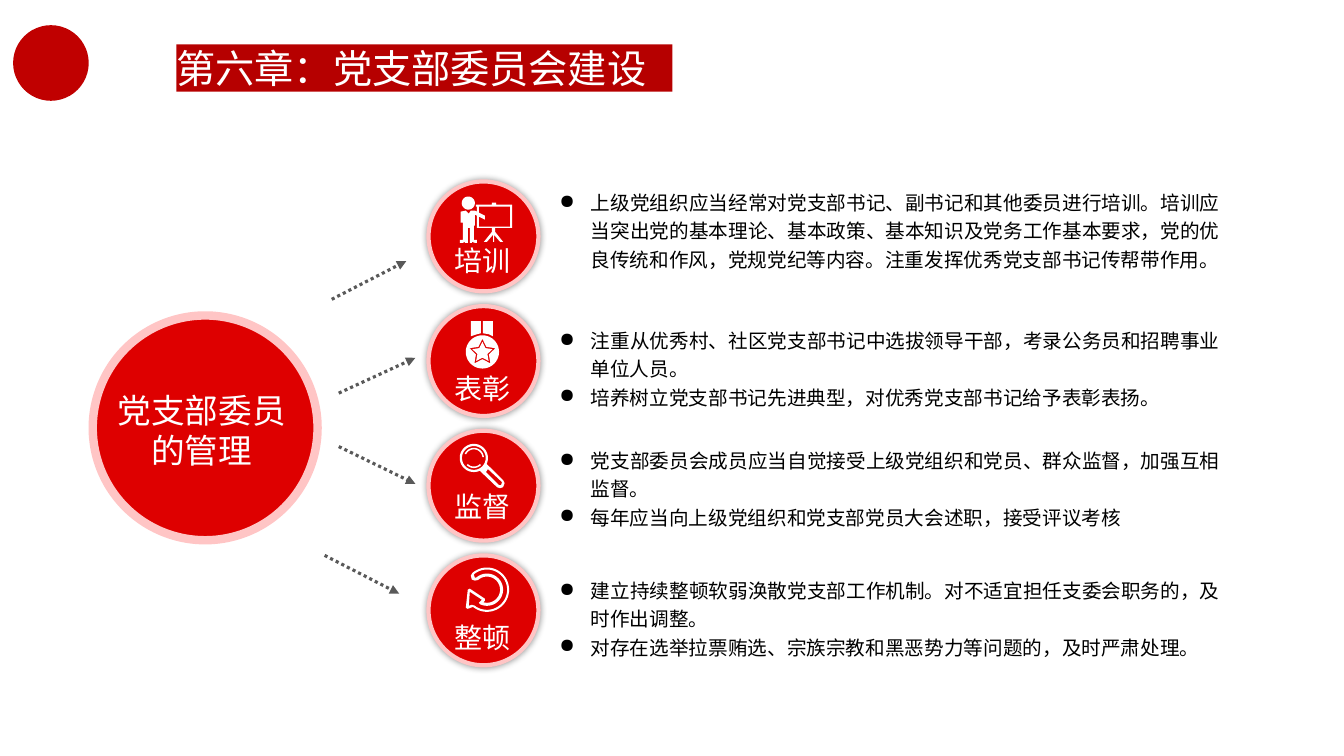
import math

import pptx
import pptx.dml.color
import pptx.enum.dml
import pptx.enum.shapes
import pptx.enum.text
import pptx.oxml
import pptx.oxml.ns
import pptx.util

SHAPE = pptx.enum.shapes.MSO_SHAPE
ALIGN = pptx.enum.text.PP_ALIGN
ANCHOR = pptx.enum.text.MSO_ANCHOR
FIT = pptx.enum.text.MSO_AUTO_SIZE
NOTO = "Noto Sans CJK SC"
RED, PINK, WHITE = "DE0000", "FFC5C5", "FFFFFF"


def arc(x, y, radius, start=0, end=360):
    """Points of an arc, angles in degrees running clockwise from the right."""
    turns = [math.radians(start + (end - start) * i / 40) for i in range(41)]
    return [(x + radius * math.cos(t), y + radius * math.sin(t)) for t in turns]


def star(x, y, radius):
    radii = [radius, radius / 2]
    turns = [math.radians(36 * i - 90) for i in range(10)]
    return [(x + radii[i % 2] * math.cos(t), y + radii[i % 2] * math.sin(t))
            for i, t in enumerate(turns)]


# Icon outlines, in hundredths of an inch from the corner of their circle
PRESENTER = [
    [(50, 25), (50, 31), (56, 34), (56, 38), (50, 35), (50, 45), (81, 45), (81, 25)],
    [(63, 21), (67, 21), (67, 23), (83, 23), (83, 46), (66, 46), (66, 50), (74, 60),
     (71, 60), (65, 53), (65, 60), (64, 60), (64, 53), (58, 60), (55, 60), (63, 50),
     (63, 46), (48, 46), (48, 34), (46, 33), (46, 44), (45, 44), (45, 58), (48, 58),
     (48, 61), (46, 61), (43, 60), (43, 61), (41, 61), (41, 46), (39, 46), (39, 61),
     (36, 61), (36, 60), (34, 61), (31, 61), (31, 58), (34, 58), (34, 41), (32, 41),
     (32, 30), (37, 29), (40, 32), (42, 29), (46, 29), (48, 30), (48, 25), (47, 25),
     (47, 23), (63, 23)],
    arc(39.5, 21.5, 6.5),
]
MEDAL = [
    arc(53.5, 45.5, 16.5),
    star(53.5, 46, 13.5),
    star(53.5, 46, 10.5),
    [(54, 15), (64, 15), (64, 30), (60, 28), (54, 27)],
    [(52, 15), (52, 27), (48, 28), (42, 30), (42, 15)],
]
MAGNIFIER = [
    arc(45, 27, 14, 65, 385) + [(74, 49), (75.5, 52), (74, 56), (71, 57), (68, 56)],
    arc(45, 27, 11.8),
    arc(45, 27, 10, 45, 135) + arc(45, 27, 8.5, 135, 45),
    arc(45, 27, 10, 205, 355) + arc(45, 27, 8.5, 355, 205),
    [(59, 38), (57, 41), (70, 54), (72, 54), (73, 51)],
]
LOOP_ARROW = [
    arc(58, 34, 22, -131, 129) + [(39, 53), (37, 52), (39, 34), (41, 33), (56, 43),
                                  (56, 45), (54, 47)]
    + arc(58, 34, 13, 107, -132) + [(46, 25), (43, 24), (42, 20)],
    arc(58, 34, 20, -131, 128) + [(43, 49), (40, 50), (41, 36), (53, 44), (50, 47)]
    + arc(58, 34, 16, 115, -132) + [(46, 22)],
]

TITLE = "第六章：党支部委员会建设"
HUB = ["党支部委员", "的管理"]
# label, its drop in the circle, icon, top of the points, points
TOPICS = [
    ("培训", 0.57, PRESENTER, 1.8, [
        "上级党组织应当经常对党支部书记、副书记和其他委员进行培训。培训应当突出党的基本理论、"
        "基本政策、基本知识及党务工作基本要求，党的优良传统和作风，党规党纪等内容。"
        "注重发挥优秀党支部书记传帮带作用。"]),
    ("表彰", 0.6, MEDAL, 3.17, [
        "注重从优秀村、社区党支部书记中选拔领导干部，考录公务员和招聘事业单位人员。",
        "培养树立党支部书记先进典型，对优秀党支部书记给予表彰表扬。"]),
    ("监督", 0.53, MAGNIFIER, 4.36, [
        "党支部委员会成员应当自觉接受上级党组织和党员、群众监督，加强互相监督。",
        "每年应当向上级党组织和党支部党员大会述职，接受评议考核"]),
    ("整顿", 0.6, LOOP_ARROW, 5.65, [
        "建立持续整顿软弱涣散党支部工作机制。对不适宜担任支委会职务的，及时作出调整。",
        "对存在选举拉票贿选、宗族宗教和黑恶势力等问题的，及时严肃处理。"]),
]
ARROWS = [(3.29, 2.97, 4.03, 2.59), (3.36, 3.9, 4.12, 3.55),
          (3.36, 4.43, 4.12, 4.8), (3.22, 5.51, 3.96, 5.89)]
CIRCLE_LEFT, CIRCLE_SIZE, FIRST_TOP, LAST_TOP = 4.25, 1.09, 1.8, 5.51

inch = pptx.util.Inches
deck = pptx.Presentation()
deck.slide_width, deck.slide_height = inch(13.33), inch(7.5)
shapes = deck.slides.add_slide(deck.slide_layouts[6]).shapes


def color(value):
    return pptx.dml.color.RGBColor.from_string(value)


def add_xml(parent, xml):
    head, rest = xml.split(" ", 1)
    element = pptx.oxml.parse_xml(f"{head} {pptx.oxml.ns.nsdecls('a')} {rest}")
    parent.append(element)


def paint(shape, fill, border=None, width=0):
    shape.shadow.inherit = False
    shape.fill.solid()
    shape.fill.fore_color.rgb = color(fill)
    if border:
        shape.line.color.rgb = color(border)
        shape.line.width = pptx.util.Pt(width)
    else:
        shape.line.fill.background()
    return shape


def add_painted(kind, box, *look):
    return paint(shapes.add_shape(kind, *map(inch, box)), *look)


def write(shape, lines, size, ink, font=NOTO, align=ALIGN.CENTER, bullet=None, **frame):
    for name, value in frame.items():
        setattr(shape.text_frame, name, value)
    for i, line in enumerate(lines):
        paragraph = (shape.text_frame.add_paragraph() if i
                     else shape.text_frame.paragraphs[0])
        paragraph.alignment = align
        run = paragraph.add_run()
        run.text = line
        for name, value in {"size": pptx.util.Pt(size), "name": font}.items():
            setattr(run.font, name, value)
        run.font.color.rgb = color(ink)
        add_xml(run.font._element, f'<a:ea typeface="{font}"/>')
        if bullet:
            paragraph.line_spacing = 1.2
            properties = paragraph._p.get_or_add_pPr()
            properties.set("marL", str(inch(0.31)))
            properties.set("indent", str(-inch(0.31)))
            add_xml(properties, f'<a:buChar char="{bullet}"/>')


def add_text(box, lines, size, ink, wrap=False, **style):
    write(shapes.add_textbox(*map(inch, box)), lines, size, ink,
          word_wrap=wrap, auto_size=FIT.SHAPE_TO_FIT_TEXT, **style)


def add_icon(outlines, left, top):
    builder = None
    for outline in outlines:
        points = [(inch(left + x / 100), inch(top + y / 100)) for x, y in outline]
        if builder is None:
            builder = shapes.build_freeform(*points[0], scale=1.0)
        else:
            builder.move_to(*points[0])
        builder.add_line_segments(points[1:], close=True)
    paint(builder.convert_to_shape(), WHITE)


def add_glow(shape):
    add_xml(shape._element.spPr.find(pptx.oxml.ns.qn("a:effectLst")),
            f'<a:outerShdw blurRad="{pptx.util.Pt(5)}" dist="0" dir="0">'
            '<a:srgbClr val="000000"><a:alpha val="40000"/></a:srgbClr></a:outerShdw>')


def add_arrow(ends):
    arrow = shapes.add_connector(pptx.enum.shapes.MSO_CONNECTOR.STRAIGHT, *map(inch, ends))
    arrow.line.color.rgb = color("595959")
    arrow.line.width = pptx.util.Pt(2.25)
    arrow.line.dash_style = pptx.enum.dml.MSO_LINE.ROUND_DOT
    add_xml(arrow.line._get_or_add_ln(), '<a:tailEnd type="triangle"/>')
    add_xml(arrow._element.spPr, "<a:effectLst />")


add_painted(SHAPE.OVAL, (0.13, 0.25, 0.75, 0.75), "C00000")
banner = add_painted(SHAPE.RECTANGLE, (1.75, 0.44, 4.92, 0.47), "B60000")
write(banner, [TITLE], 28, WHITE, align=ALIGN.LEFT, vertical_anchor=ANCHOR.MIDDLE,
      margin_left=0, margin_right=0, margin_top=0, margin_bottom=0)

pitch = (LAST_TOP - FIRST_TOP) / (len(TOPICS) - 1)
for row, (label, drop, icon, points_top, points) in enumerate(TOPICS):
    top = FIRST_TOP + row * pitch
    add_glow(add_painted(SHAPE.OVAL, (CIRCLE_LEFT, top, CIRCLE_SIZE, CIRCLE_SIZE),
                         RED, PINK, 3))
    add_icon(icon, CIRCLE_LEFT, top)
    add_text((CIRCLE_LEFT + 0.16, top + drop, 0.76, 0.44), [label], 20, WHITE)
    height = 1.21 if len(points) == 1 else 0.93
    add_text((5.45, points_top, 6.75, height), points, 14, "000000", wrap=True,
             font="Arial", align=ALIGN.JUSTIFY, bullet="●")

add_painted(SHAPE.OVAL, (0.92, 3.13, 2.23, 2.23), RED, PINK, 6)
add_text((1.06, 3.82, 1.88, 0.91), HUB, 24, WHITE)
for ends in ARROWS:
    add_arrow(ends)

deck.save("out.pptx")
